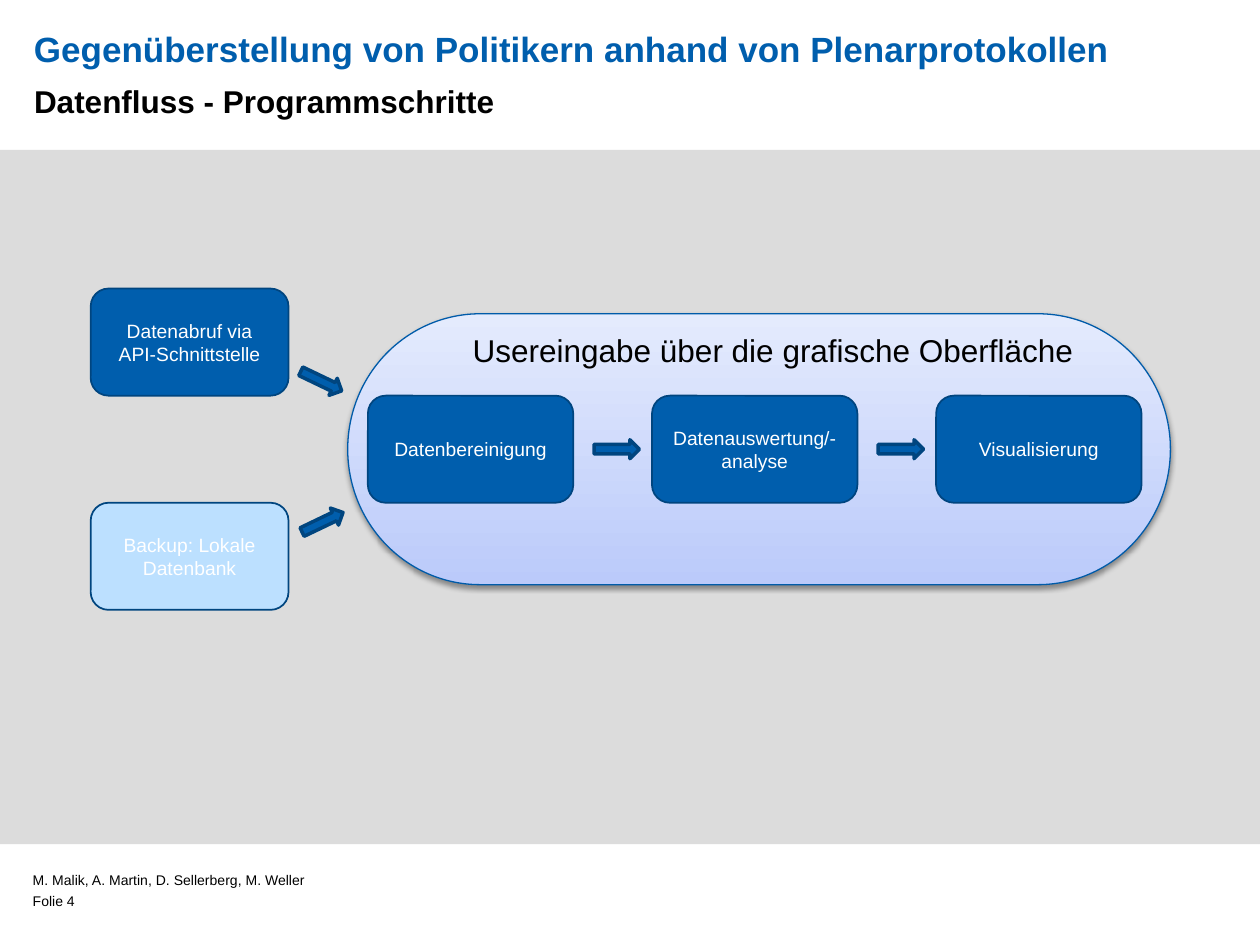
from lxml import etree
from pptx import Presentation
from pptx.dml.color import RGBColor
from pptx.enum.shapes import MSO_SHAPE
from pptx.enum.text import MSO_ANCHOR, PP_ALIGN
from pptx.oxml.ns import qn
from pptx.util import Inches, Pt

RECT = MSO_SHAPE.RECTANGLE
STEP = MSO_SHAPE.FLOWCHART_ALTERNATE_PROCESS
STAGE = MSO_SHAPE.FLOWCHART_TERMINATOR
ARROW = MSO_SHAPE.RIGHT_ARROW
MIDDLE = MSO_ANCHOR.MIDDLE
LEFT, CENTER = PP_ALIGN.LEFT, PP_ALIGN.CENTER

BLUE, NAVY, PALE = "005EAD", "00457F", "BCE0FF"
BLACK, WHITE, GRAY = "000000", "FFFFFF", "DCDCDC"


def tint(code):
    return RGBColor.from_string(code)


class Deck:
    """Slide style and drawing methods on a grid of 100 columns by 75 rows."""

    def __init__(self):
        self.file = Presentation()
        self.file.slide_width = Inches(10)
        self.file.slide_height = Inches(7.5)
        self.slide = self.file.slides.add_slide(self.file.slide_layouts[6])
        self.font = "Arial"
        self.col = self.file.slide_width / 100
        self.row = self.file.slide_height / 75

    def place(self, x, y, w, h):
        return [round(n * unit) for n, unit in
                zip((x, y, w, h), (self.col, self.row) * 2)]

    def words(self, frame, text, size, color, bold=False, align=LEFT):
        frame.word_wrap = True
        para = frame.paragraphs[0]
        para.text = text
        para.alignment = align
        font = para.font
        font.name, font.size, font.bold = self.font, Pt(size), bold
        font.color.rgb = tint(color)

    def label(self, spot, text, size, color=BLACK, bold=False, align=LEFT):
        frame = self.slide.shapes.add_textbox(*self.place(*spot)).text_frame
        frame.margin_left = frame.margin_right = 0
        frame.margin_top = frame.margin_bottom = 0
        self.words(frame, text, size, color, bold, align)

    def shape(self, kind, spot, fill=BLUE, line=NAVY, width=1):
        shape = self.slide.shapes.add_shape(kind, *self.place(*spot))
        shape.shadow.inherit = False
        shape.fill.solid()
        shape.fill.fore_color.rgb = tint(fill)
        if line:
            shape.line.color.rgb = tint(line)
            shape.line.width = Pt(width)
        else:
            shape.line.fill.background()
        return shape

    def step(self, x, y, w, text, fill=BLUE):
        frame = self.shape(STEP, (x, y, w, 8.5), fill).text_frame
        frame.vertical_anchor = MIDDLE
        self.words(frame, text, 11, WHITE, align=CENTER)

    def arrow(self, x, y, turn=0):
        self.shape(ARROW, (x, y, 3.6, 1.5), width=2).rotation = turn

    def stage(self, spot, low, high):
        shape = self.shape(STAGE, spot, line="005BA9", width=0.75)
        shape.fill.gradient()
        shape.fill.gradient_angle = 90
        for stop, code in zip(shape.fill.gradient_stops, (low, high)):
            stop.color.rgb = tint(code)
        effects = shape.element.spPr.find(qn("a:effectLst"))
        shade = etree.SubElement(
            effects, qn("a:outerShdw"), blurRad=str(Pt(3.1)),
            dist=str(Pt(1.6)), dir="5400000", rotWithShape="0")
        color = etree.SubElement(shade, qn("a:srgbClr"), val=BLACK)
        etree.SubElement(color, qn("a:alpha"), val="38000")


def main():
    deck = Deck()
    deck.shape(RECT, (0, 11.9, 100, 55.1), GRAY, None)
    deck.label((2.7, 2.2, 93.6, 3.9),
               "Gegenüberstellung von Politikern anhand von Plenarprotokollen",
               20, BLUE, True)
    deck.label((2.7, 6.5, 93.5, 3.5), "Datenfluss - Programmschritte",
               18, bold=True)
    deck.label((2.6, 69.2, 74.7, 1.5),
               "M. Malik, A. Martin, D. Sellerberg, M. Weller", 8)
    deck.label((2.6, 70.8, 74.7, 1.3), "Folie 4", 8)

    deck.stage((27.6, 24.9, 65.3, 21.5), "BBCAFA", "E4EBFD")
    deck.label((34.8, 26.3, 53.1, 6), "Usereingabe über die grafische Oberfläche",
               18, align=CENTER)

    deck.step(7.2, 22.9, 15.7, "Datenabruf via API-Schnittstelle")
    deck.step(7.2, 39.9, 15.7, "Backup: Lokale Datenbank", PALE)
    deck.arrow(23.7, 29.5, 25.6)
    deck.arrow(23.8, 40.7, -25.6)

    pitch = 22.55
    steps = ("Datenbereinigung", "Datenauswertung/-analyse", "Visualisierung")
    for i, text in enumerate(steps):
        x = 29.2 + i * pitch
        deck.step(x, 31.4, 16.3, text)
        if i:
            deck.arrow(x - 4.6, 34.9)

    deck.file.save("out.pptx")


if __name__ == "__main__":
    main()
